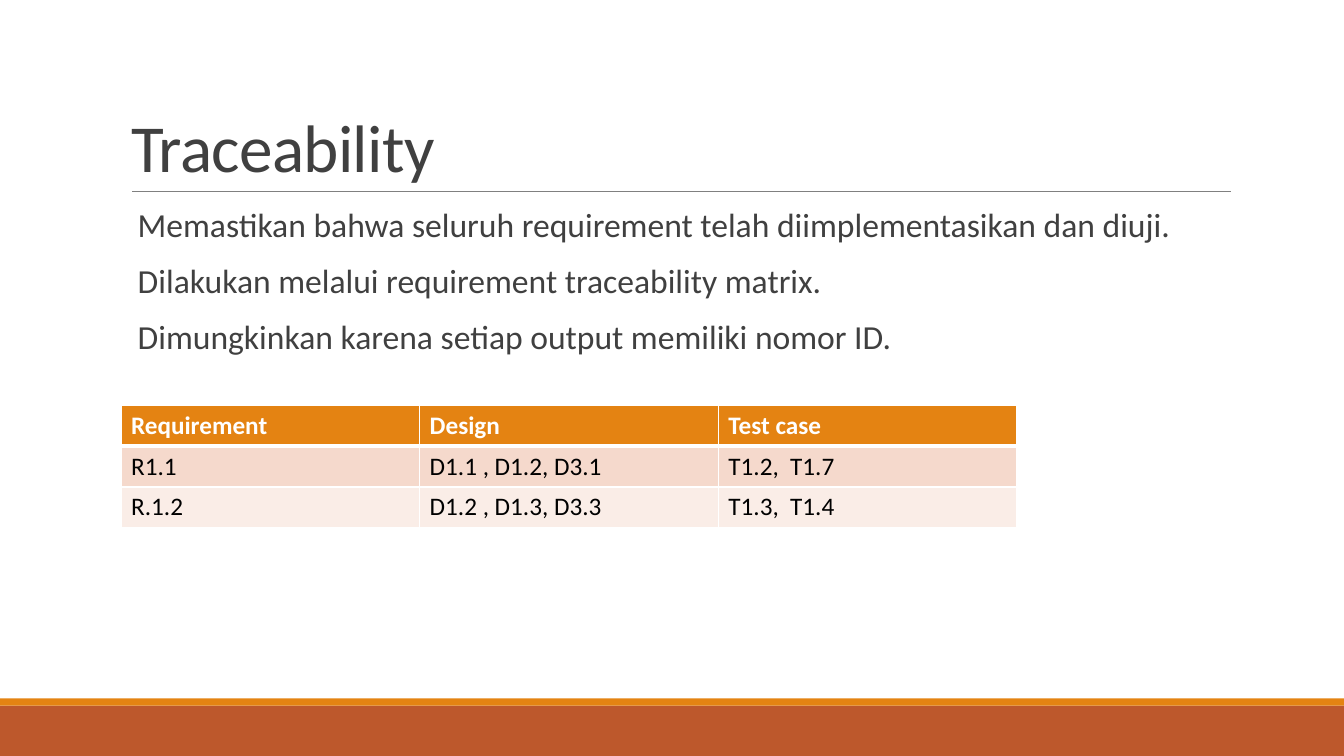
from dataclasses import dataclass

from lxml.etree import SubElement
from pptx import Presentation
from pptx.dml.color import RGBColor
from pptx.enum.shapes import MSO_CONNECTOR, MSO_SHAPE
from pptx.enum.text import MSO_ANCHOR, MSO_AUTO_SIZE, PP_ALIGN
from pptx.oxml import parse_xml
from pptx.oxml.ns import nsdecls, qn
from pptx.util import Cm, Pt

FONT = "Calibri"
HUES = {
    "rust": "BD582C",
    "orange": "E48312",
    "gray": "808080",
    "ink": "404040",
    "black": "000000",
    "white": "FFFFFF",
    "peach": "F5D9CC",
    "blush": "FAEDE7",
}


@dataclass(frozen=True)
class Band:
    top: float
    height: float
    hue: str


@dataclass(frozen=True)
class Row:
    texts: tuple[str, ...]
    fill: str
    ink: str = "black"
    bold: bool = False
    over: int = 1
    under: int = 1


WIDTH, HEIGHT = 33.87, 19.05
LEFT, SPAN = 3.05, 27.94
BANDS = (Band(17.78, 1.27, "rust"), Band(17.6, 0.18, "orange"))
POINTS = (
    "Memastikan bahwa seluruh requirement telah diimplementasikan dan diuji.",
    "Dilakukan melalui requirement traceability matrix.",
    "Dimungkinkan karena setiap output memiliki nomor ID.",
)
ROWS = (
    Row(("Requirement", "Design", "Test case"), "orange", "white", True, under=3),
    Row(("R1.1", "D1.1 , D1.2, D3.1", "T1.2,  T1.7"), "peach", over=3),
    Row(("R.1.2", "D1.2 , D1.3, D3.3", "T1.3,  T1.4"), "blush"),
)


def tint(hue: str) -> RGBColor:
    return RGBColor.from_string(HUES[hue])


def style(para, size: int, hue: str, bold: bool = False) -> None:
    font = para.font
    font.name, font.size, font.bold = FONT, Pt(size), bold
    font.color.rgb = tint(hue)


def draw_band(slide, band: Band) -> None:
    shape = slide.shapes.add_shape(
        MSO_SHAPE.RECTANGLE, 0, Cm(band.top), Cm(WIDTH), Cm(band.height)
    )
    shape.shadow.inherit = False
    shape.fill.solid()
    shape.fill.fore_color.rgb = tint(band.hue)
    shape.line.fill.background()


def draw_rule(slide) -> None:
    rule = slide.shapes.add_connector(
        MSO_CONNECTOR.STRAIGHT, Cm(3.33), Cm(4.83), Cm(31.01), Cm(4.83)
    )
    rule.line.color.rgb = tint("gray")
    rule.line.width = Pt(0.5)
    SubElement(rule._element.spPr, qn("a:effectLst"))


def draw_title(slide, text: str) -> None:
    title = slide.shapes.title
    title.left, title.top = Cm(LEFT), Cm(0.79)
    title.width, title.height = Cm(SPAN), Cm(4.04)
    frame = title.text_frame
    frame.text = text
    frame.auto_size = MSO_AUTO_SIZE.NONE
    frame.vertical_anchor = MSO_ANCHOR.BOTTOM
    para = frame.paragraphs[0]
    para.alignment = PP_ALIGN.LEFT
    para.line_spacing = 0.85
    style(para, 48, "ink")
    para.runs[0]._r.get_or_add_rPr().set("spc", "-50")


def draw_points(slide) -> None:
    box = slide.shapes.add_textbox(Cm(LEFT), Cm(5.13), Cm(SPAN), Cm(11.18))
    frame = box.text_frame
    frame.word_wrap = True
    frame.margin_left = frame.margin_right = 0
    for num, text in enumerate(POINTS):
        para = frame.add_paragraph() if num else frame.paragraphs[0]
        para.text = text
        para.line_spacing = 0.9
        para.space_before = Pt(12 if num else 0)
        para.space_after = Pt(2)
        props = para._p.get_or_add_pPr()
        props.set("marL", str(Cm(0.25)))
        props.set("indent", str(Cm(-0.25)))
        color = SubElement(props, qn("a:buClr"))
        SubElement(color, qn("a:srgbClr"), val=HUES["orange"])
        SubElement(props, qn("a:buChar"), char=" ")
        style(para, 24, "ink")


def edge(cell, row: Row) -> None:
    props = cell._tc.get_or_add_tcPr()
    sides = {"lnL": 1, "lnR": 1, "lnT": row.over, "lnB": row.under}
    for slot, (side, width) in enumerate(sides.items()):
        props.insert(slot, parse_xml(
            f'<a:{side} {nsdecls("a")} w="{Pt(width)}"><a:solidFill>'
            f'<a:srgbClr val="{HUES["white"]}"/></a:solidFill></a:{side}>'
        ))


def draw_table(slide) -> None:
    table = slide.shapes.add_table(
        len(ROWS), len(ROWS[0].texts), Cm(LEFT), Cm(10.21), Cm(22.58), Cm(3.09)
    ).table
    for line, row in enumerate(ROWS):
        for col, text in enumerate(row.texts):
            cell = table.cell(line, col)
            cell.text = text
            cell.fill.solid()
            cell.fill.fore_color.rgb = tint(row.fill)
            edge(cell, row)
            style(cell.text_frame.paragraphs[0], 18, row.ink, row.bold)


def main() -> None:
    deck = Presentation()
    deck.slide_width, deck.slide_height = Cm(WIDTH), Cm(HEIGHT)
    slide = deck.slides.add_slide(deck.slide_layouts[5])
    slide.background.fill.solid()
    slide.background.fill.fore_color.rgb = tint("white")
    for band in BANDS:
        draw_band(slide, band)
    draw_rule(slide)
    draw_title(slide, "Traceability")
    draw_points(slide)
    draw_table(slide)
    deck.save("out.pptx")


if __name__ == "__main__":
    main()
